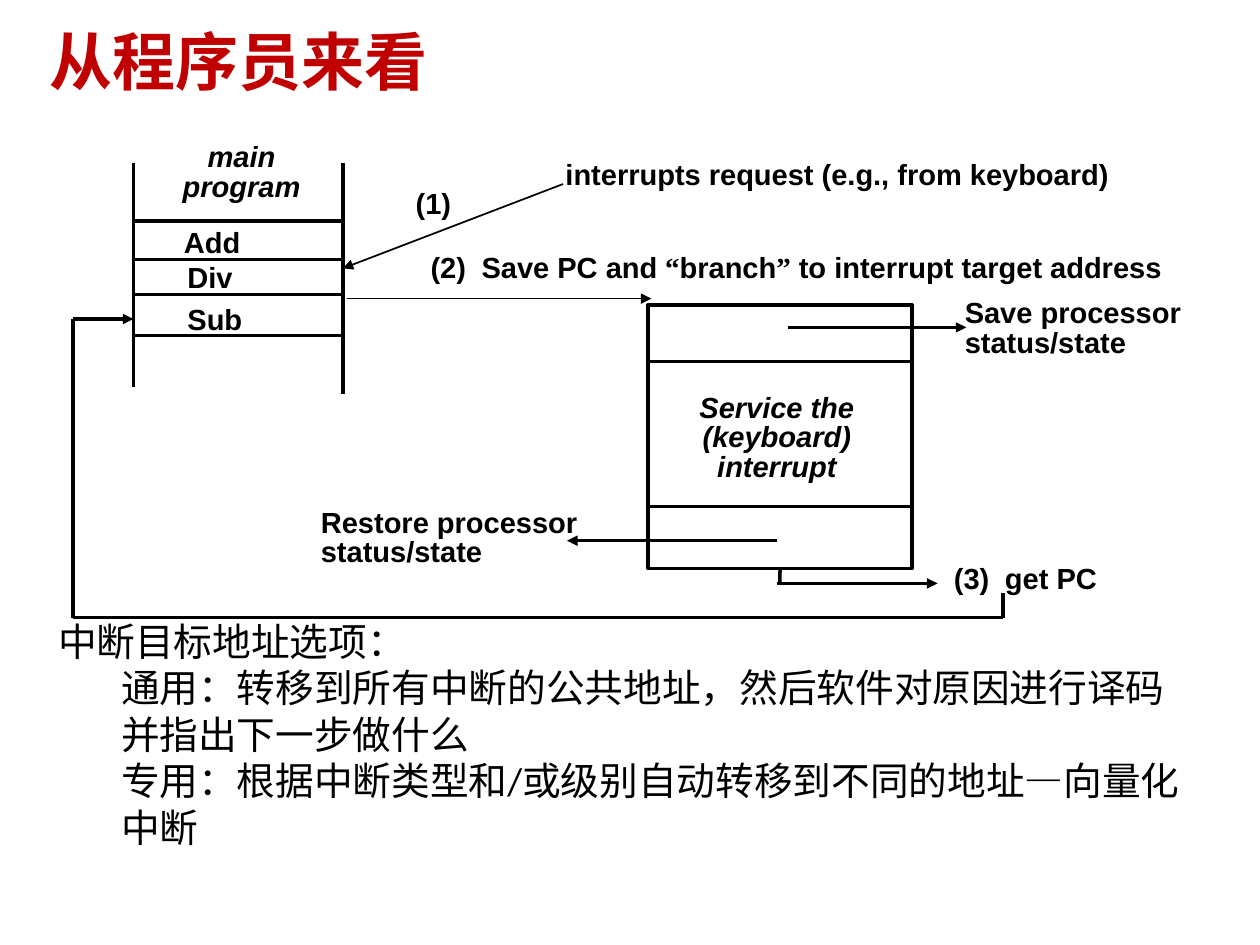
import itertools
from dataclasses import dataclass

import pptx
import pptx.dml.color
import pptx.enum.shapes
import pptx.enum.text
import pptx.oxml
import pptx.oxml.ns
import pptx.util

Cm, Pt = pptx.util.Cm, pptx.util.Pt
ALIGN = pptx.enum.text.PP_ALIGN
AUTO = pptx.enum.text.MSO_AUTO_SIZE


@dataclass
class Theme:
    ink: str = "000000"
    red: str = "C00000"
    title_size: float = 36
    body_size: float = 22.1
    label_size: float = 16.6
    thick: float = 2
    thin: float = 1
    title_font: str = "Noto Sans CJK SC"
    label_font: str = "Arial"
    body_font: str = "Calibri"
    quote_font: str = "Times New Roman"


def rgb(value):
    return pptx.dml.color.RGBColor.from_string(value)


def add_element(parent, tag, **attrs):
    el = pptx.oxml.parse_xml(f"<a:{tag} {pptx.oxml.ns.nsdecls('a')}/>")
    for key, value in attrs.items():
        el.set(key, str(value))
    parent.append(el)
    return el


class Board:
    """Style and current slide."""

    def __init__(self, slide, theme):
        self.s, self.t = slide, theme

    def style(self, r, font, size, color, bold=False, italic=False):
        r.font.name, r.font.size = font, Pt(size)
        r.font.bold, r.font.italic = bold, italic
        r.font.color.rgb = rgb(color)

    def frame(self, sp, box, inset_x=0, inset_y=0):
        sp.left, sp.top, sp.width, sp.height = map(Cm, box)
        tf = sp.text_frame
        tf.margin_left = tf.margin_right = Cm(inset_x)
        tf.margin_top = tf.margin_bottom = Cm(inset_y)
        return tf

    def title(self, text, box):
        tf = self.frame(self.s.shapes.title, box)
        tf.text = text
        tf.auto_size = AUTO.NONE
        tf.vertical_anchor = pptx.enum.text.MSO_ANCHOR.MIDDLE
        p = tf.paragraphs[0]
        p.alignment = ALIGN.LEFT
        r = p.runs[0]
        self.style(r, self.t.title_font, self.t.title_size, self.t.red, bold=True)
        add_element(r.font._element, "ea", typeface=self.t.title_font)

    def body(self, heading, items, box):
        tf = self.frame(self.s.placeholders[1], box)
        tf.text = "\n".join([heading, *items])
        tf.auto_size = AUTO.NONE
        for p in tf.paragraphs:
            child = p is not None and p.text != heading
            p.level = int(child)
            p.space_before = Pt(0)
            pPr = p._p.get_or_add_pPr()
            pPr.set("marL", str(Cm(1.27 if child else 0)))
            pPr.set("indent", "0")
            add_element(pPr, "buNone")
            font = self.t.body_font if child else self.t.label_font
            self.style(p.runs[0], font, self.t.body_size, self.t.ink)

    def label(self, text, box, italic=False, align=ALIGN.LEFT):
        sp = self.s.shapes.add_textbox(0, 0, 0, 0)
        tf = self.frame(sp, box, 0.15, 0.08)
        tf.word_wrap = False
        tf.auto_size = AUTO.SHAPE_TO_FIT_TEXT
        for i, line in enumerate(text.split("\n")):
            p = tf.add_paragraph() if i else tf.paragraphs[0]
            p.alignment, p.line_spacing = align, 0.85
            if "\t" in line:
                tabs = add_element(p._p.get_or_add_pPr(), "tabLst")
                add_element(tabs, "tab", pos=Cm(1.03), algn="l")
            # Curly quotes use their own font
            for quote, chars in itertools.groupby(line, lambda c: c in "“”"):
                r = p.add_run()
                r.text = "".join(chars)
                font = self.t.quote_font if quote else self.t.label_font
                self.style(r, font, self.t.label_size, self.t.ink, True, italic)

    def rect(self, box):
        sp = self.s.shapes.add_shape(
            pptx.enum.shapes.MSO_SHAPE.RECTANGLE, *map(Cm, box))
        sp.shadow.inherit = False
        sp.fill.background()
        sp.line.color.rgb = rgb(self.t.ink)
        sp.line.width = Pt(self.t.thick)
        return sp

    def line(self, x1, y1, x2, y2, arrow=False, width=None):
        cx = self.s.shapes.add_connector(
            pptx.enum.shapes.MSO_CONNECTOR.STRAIGHT, *map(Cm, (x1, y1, x2, y2)))
        cx.line.color.rgb = rgb(self.t.ink)
        cx.line.width = Pt(width or self.t.thick)
        if arrow:
            add_element(cx.line._get_or_add_ln(), "tailEnd", type="triangle")
        add_element(cx._element.spPr, "effectLst")
        return cx


def main():
    prs = pptx.Presentation()
    prs.slide_width, prs.slide_height = Cm(25.4), Cm(19.05)
    theme = Theme()
    b = Board(prs.slides.add_slide(prs.slide_layouts[1]), theme)

    # Title and list
    b.title("从程序员来看", (0.99, 0.41, 11.46, 1.63))
    b.body("中断目标地址选项：", [
        "通用：转移到所有中断的公共地址，然后软件对原因进行译码并指出下一步做什么",
        "专用：根据中断类型和/或级别自动转移到不同的地址—向量化中断",
    ], (1.17, 12.45, 22.76, 4.88))

    # Main program: two rails and instruction rows
    left, right = 2.69, 6.91
    b.line(left, 3.28, left, 7.8)
    b.line(right, 3.28, right, 7.95)
    for y in (4.45, 5.23, 5.94, 6.76):
        b.line(left, y, right, y)
    b.label("main\nprogram", (3.51, 2.82, 2.72, 1.35), True, ALIGN.CENTER)
    for text, x, y in (("Add", 3.56, 4.55), ("Div", 3.63, 5.26), ("Sub", 3.63, 6.1)):
        b.label(text, (x, y, 1.45, 0.74))

    # Interrupt handler
    handler = b.rect((13.06, 6.15, 5.33, 5.31))
    for y in (7.29, 10.21):
        b.line(13.02, y, 18.4, y)
    b.label("Service the\n(keyboard)\ninterrupt", (13.92, 7.87, 3.48, 1.96),
            True, ALIGN.CENTER)
    b.line(15.88, 6.6, 19.48, 6.6, True)
    b.label("Save processor\nstatus/state", (19.3, 5.97, 4.75, 1.35))
    b.line(15.67, 10.9, 11.43, 10.9, True)
    b.label("Restore processor\nstatus/state", (6.32, 10.19, 5.56, 1.35))

    # Steps 1 and 2: request and branch
    b.label("interrupts request (e.g., from keyboard)", (11.25, 3.18, 11.4, 0.74))
    b.label("(1)", (8.23, 3.76, 1.04, 0.74))
    b.line(11.35, 3.71, right, 5.41, True, theme.thin)
    b.label("(2)\tSave PC and “branch” to interrupt target address",
            (8.53, 5.05, 15.27, 0.74))
    b.line(6.99, 6.02, 13.13, 6.02, True, theme.thin)

    # Step 3: return to the main program
    b.line(15.72, 11.46, 15.72, 11.76).begin_connect(handler, 2)
    b.line(15.67, 11.76, 18.9, 11.76, True)
    b.label("(3)\tget PC", (19.08, 11.33, 3.25, 0.74))
    b.line(20.22, 11.96, 20.22, 12.45)
    b.line(20.22, 12.45, 1.47, 12.45)
    b.line(1.47, 12.45, 1.47, 6.43)
    b.line(1.47, 6.43, left, 6.43, True)

    prs.save("out.pptx")


if __name__ == "__main__":
    main()
